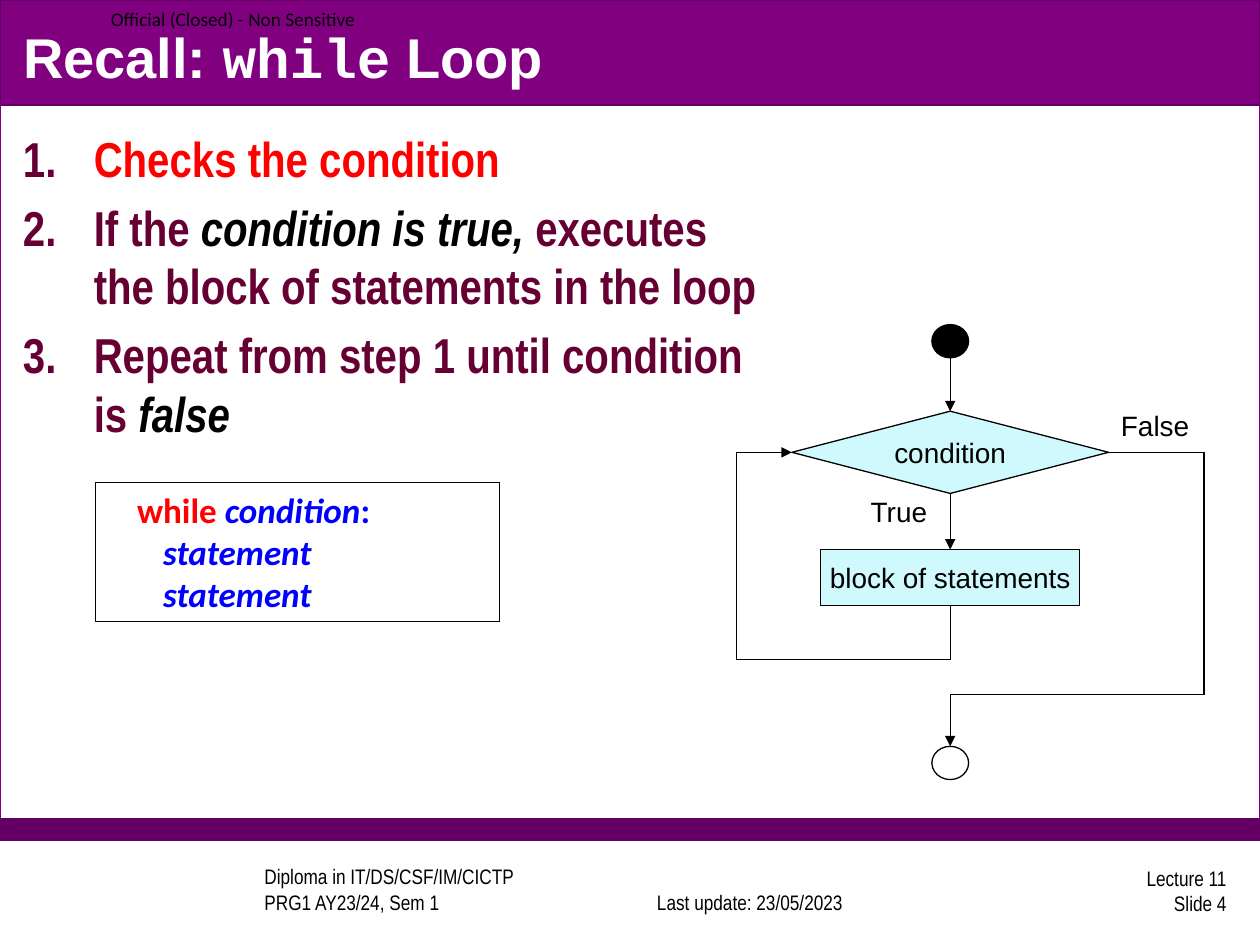
from lxml.etree import SubElement
from pptx import Presentation
from pptx.dml.color import RGBColor
from pptx.enum.shapes import MSO_CONNECTOR, MSO_SHAPE
from pptx.enum.text import MSO_ANCHOR, PP_ALIGN
from pptx.oxml.ns import qn
from pptx.util import Pt

BLACK, WHITE, RED, BLUE = "000000", "FFFFFF", "FF0000", "0000FF"
PURPLE, DARK_PURPLE, PLUM, PALE_BLUE = "800080", "640064", "660033", "CFF9FD"

# Each run is (text, format); a paragraph is a list of runs.
TITLE = [[("Recall: ", {}), ("while", {"name": "Courier New"}), (" Loop", {})]]
STEPS = [
    [("Checks the condition", {"color": RED})],
    [("If the ", {}), ("condition is true, ", {"color": BLACK, "italic": True}),
     ("executes the block of statements in the loop", {})],
    [("Repeat from step 1 until condition is ", {}),
     ("false", {"color": BLACK, "italic": True})],
]
CODE = [
    [("   ", {"name": "Arial", "bold": False}), ("while ", {"color": RED}),
     ("condition", {"italic": True}), (":", {})],
    [("       statement", {"italic": True})],
    [("       statement", {"italic": True})],
]
# lines, box, alignment, anchor
FOOTERS = [
    (["Diploma in IT/DS/CSF/IM/CICTP", "PRG1 AY23/24, Sem 1"], (144, 496, 192, 30),
     PP_ALIGN.LEFT, MSO_ANCHOR.BOTTOM),
    (["Last update: 23/05/2023"], (353.5, 496, 150, 30),
     PP_ALIGN.CENTER, MSO_ANCHOR.BOTTOM),
    (["Lecture 11", "Slide 4"], (558, 494, 150, 30), PP_ALIGN.RIGHT, MSO_ANCHOR.MIDDLE),
]
# box, fill, line
BANDS = [
    ((0, 0, 720, 480), WHITE, PURPLE),
    ((0, 468, 720, 12), DARK_PURPLE, DARK_PURPLE),
    ((0, 0, 720, 60), PURPLE, DARK_PURPLE),
]
BRANCH_LABELS = [("False", (633.5, 230, 56, 28)), ("True", (490.5, 279, 52, 28))]

# Flowchart guide lines
CENTER_X, LOOP_X, EXIT_X = 543, 421, 688
CONDITION_Y, LOOP_Y, EXIT_Y = 258.5, 377, 397


def rgb(value):
    return RGBColor.from_string(value)


def add_runs(paragraph, runs, base):
    for text, changes in runs:
        run = paragraph.add_run()
        run.text = text
        style = {**base, **changes}
        run.font.color.rgb = rgb(style.pop("color"))
        for attribute, value in style.items():
            setattr(run.font, attribute, value)


def write(shape, paragraphs, base, align=PP_ALIGN.LEFT, anchor=MSO_ANCHOR.TOP,
          insets=(7.2, 3.6)):
    frame = shape.text_frame
    frame.word_wrap = True
    frame.vertical_anchor = anchor
    frame.margin_left = frame.margin_right = Pt(insets[0])
    frame.margin_top = frame.margin_bottom = Pt(insets[1])
    for index, runs in enumerate(paragraphs):
        paragraph = frame.add_paragraph() if index else frame.paragraphs[0]
        paragraph.alignment = align
        add_runs(paragraph, runs, base)
    return frame


def add_text(shapes, box, paragraphs, base, **layout):
    return write(shapes.add_textbox(*map(Pt, box)), paragraphs, base, **layout)


def add_box(shapes, kind, box, fill, line=BLACK):
    shape = shapes.add_shape(kind, *map(Pt, box))
    shape.shadow.inherit = False
    shape.fill.solid()
    shape.fill.fore_color.rgb = rgb(fill)
    shape.line.color.rgb = rgb(line)
    shape.line.width = Pt(0.75)
    return shape


def add_centered(shapes, kind, top, width, height, fill):
    return add_box(shapes, kind, (CENTER_X - width / 2, top, width, height), fill)


def add_line(shapes, start, end, arrow=False, source=None, target=None):
    """Draw a line; source and target are optional (shape, site) pairs to join."""
    connector = shapes.add_connector(MSO_CONNECTOR.STRAIGHT, *map(Pt, start + end))
    connector.line.color.rgb = rgb(BLACK)
    connector.line.width = Pt(0.75)
    if arrow:
        SubElement(connector.line._get_or_add_ln(), qn("a:tailEnd"), type="triangle")
    SubElement(connector.element.spPr, qn("a:effectLst"))
    if source:
        connector.begin_connect(*source)
    if target:
        connector.end_connect(*target)


def number_paragraph(paragraph, first):
    properties = paragraph._p.get_or_add_pPr()
    properties.set("marL", str(Pt(40.5)))
    properties.set("indent", str(-Pt(40.5)))
    if not first:
        paragraph.space_before = Pt(5.5)
    color = SubElement(properties, qn("a:buClr"))
    SubElement(color, qn("a:srgbClr"), val=PLUM)
    SubElement(properties, qn("a:buFont"), typeface="+mj-lt")
    SubElement(properties, qn("a:buAutoNum"), type="arabicPeriod")


def add_flowchart(shapes):
    label = {"name": "Arial", "size": Pt(16), "color": BLACK}
    add_centered(shapes, MSO_SHAPE.FLOWCHART_CONNECTOR, 185.5, 21, 19, BLACK)
    end = add_centered(shapes, MSO_SHAPE.FLOWCHART_CONNECTOR, 426.5, 21, 19, WHITE)
    condition = add_centered(shapes, MSO_SHAPE.FLOWCHART_DECISION, 235, 181, 47, PALE_BLUE)
    block = add_centered(shapes, MSO_SHAPE.FLOWCHART_PROCESS, 314, 148, 32, PALE_BLUE)
    for shape, text in ((condition, "condition"), (block, "block of statements")):
        write(shape, [[(text, {})]], label, align=PP_ALIGN.CENTER,
              anchor=MSO_ANCHOR.MIDDLE, insets=(0, 0))
    for text, box in BRANCH_LABELS:
        add_text(shapes, box, [[(text, {})]], label)

    add_line(shapes, (CENTER_X, 204.5), (CENTER_X, 235), True, target=(condition, 0))
    add_line(shapes, (CENTER_X, 282), (CENTER_X, 314), True, (condition, 2), (block, 0))
    # Loop back to the condition
    add_line(shapes, (CENTER_X, 346), (CENTER_X, LOOP_Y), source=(block, 2))
    add_line(shapes, (CENTER_X, LOOP_Y), (LOOP_X, LOOP_Y))
    add_line(shapes, (LOOP_X, LOOP_Y), (LOOP_X, CONDITION_Y))
    add_line(shapes, (LOOP_X, CONDITION_Y), (452.5, CONDITION_Y), True,
             target=(condition, 1))
    # Exit when false
    add_line(shapes, (633.5, CONDITION_Y), (EXIT_X, CONDITION_Y), source=(condition, 3))
    add_line(shapes, (EXIT_X, CONDITION_Y), (EXIT_X, EXIT_Y))
    add_line(shapes, (EXIT_X, EXIT_Y), (CENTER_X, EXIT_Y))
    add_line(shapes, (CENTER_X, EXIT_Y), (CENTER_X, 426.5), True, target=(end, 0))


def main():
    presentation = Presentation()
    presentation.slide_width, presentation.slide_height = Pt(720), Pt(540)
    slide = presentation.slides.add_slide(presentation.slide_layouts[5])
    shapes = slide.shapes

    for box, fill, line in BANDS:
        add_box(shapes, MSO_SHAPE.RECTANGLE, box, fill, line)
    footer_style = {"name": "Arial Narrow", "size": Pt(12), "color": BLACK}
    for lines, box, align, anchor in FOOTERS:
        add_text(shapes, box, [[(line, {})] for line in lines], footer_style,
                 align=align, anchor=anchor)
    add_text(shapes, (63.4, 0, 160, 22), [[("Official (Closed) - Non Sensitive", {})]],
             {"name": "Calibri", "size": Pt(11), "color": BLACK},
             anchor=MSO_ANCHOR.MIDDLE, insets=(0, 0))

    title = shapes.title
    title.left, title.top, title.width, title.height = map(Pt, (6, 9.5, 708, 45))
    write(title, TITLE, {"name": "Arial", "size": Pt(32), "bold": True, "color": WHITE},
          anchor=MSO_ANCHOR.MIDDLE)
    title.element.getparent().append(title.element)  # in front of the header band

    steps = add_text(shapes, (6, 70, 433.5, 392), STEPS,
                     {"name": "Arial Narrow", "size": Pt(28), "bold": True, "color": PLUM})
    for index, paragraph in enumerate(steps.paragraphs):
        number_paragraph(paragraph, index == 0)

    add_flowchart(shapes)
    code_box = add_box(shapes, MSO_SHAPE.RECTANGLE, (54.5, 275.6, 231, 79.5), WHITE)
    write(code_box, CODE, {"name": "Calibri", "size": Pt(20), "bold": True, "color": BLUE})
    presentation.save("out.pptx")


if __name__ == "__main__":
    main()
